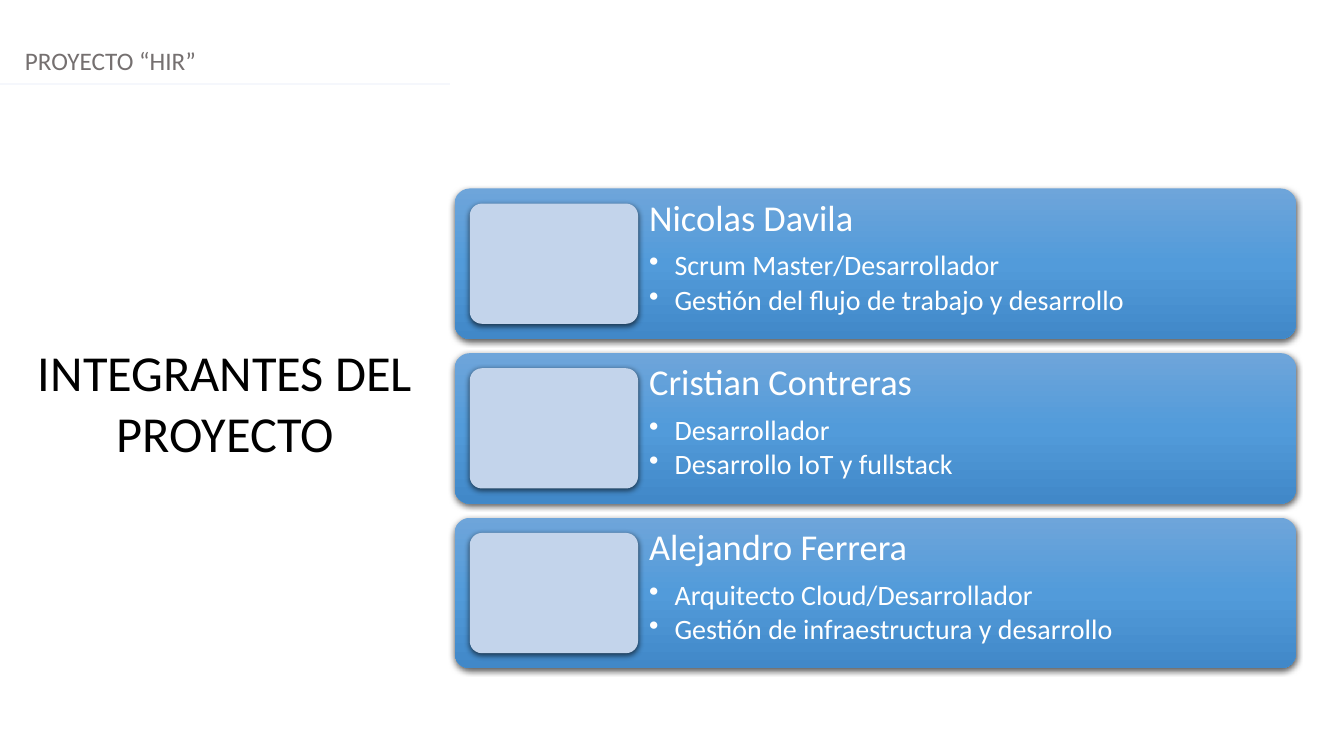
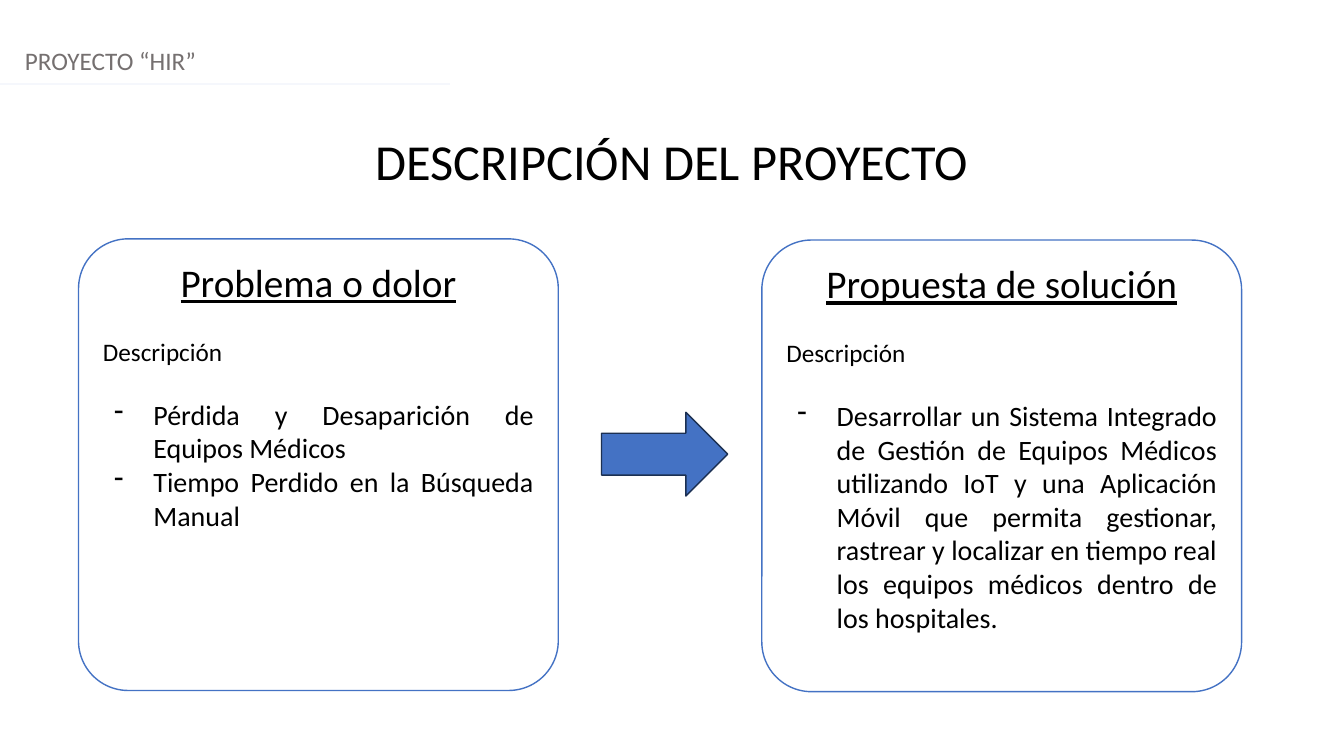
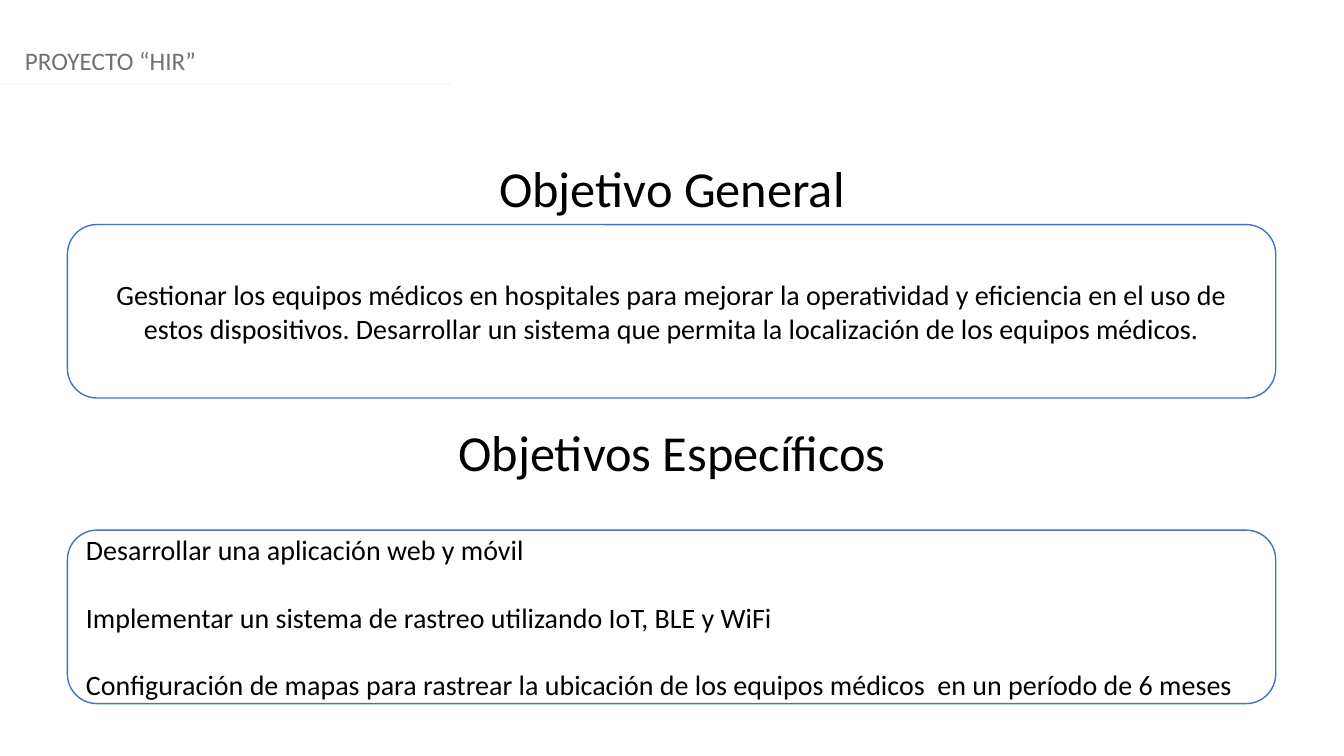
from dataclasses import dataclass

from lxml.etree import SubElement
from pptx import Presentation
from pptx.dml.color import RGBColor
from pptx.enum.shapes import MSO_CONNECTOR, MSO_SHAPE
from pptx.enum.text import MSO_ANCHOR, MSO_AUTO_SIZE, PP_ALIGN
from pptx.oxml.ns import qn
from pptx.shapes.autoshape import Shape
from pptx.slide import Slide
from pptx.text.text import TextFrame
from pptx.util import Cm, Pt

# Shared look
FONT = "Calibri"
WHITE = RGBColor(0xFF, 0xFF, 0xFF)
BLACK = RGBColor(0x00, 0x00, 0x00)
GREY = RGBColor(0x75, 0x70, 0x70)
PALE = RGBColor(0xF5, 0xF7, 0xFC)
BLUE = RGBColor(0x44, 0x72, 0xC4)
NAVY = RGBColor(0x1C, 0x30, 0x52)
PHOTO = RGBColor(0xC3, 0xD4, 0xEB)
SHADE = ((0, RGBColor(0x6E, 0xA5, 0xDA)),
         (50, RGBColor(0x52, 0x9B, 0xDA)),
         (100, RGBColor(0x41, 0x88, 0xC8)))
WIDE, HIGH = 33.87, 19.05
LEFT, CENTER, JUST = PP_ALIGN.LEFT, PP_ALIGN.CENTER, PP_ALIGN.JUSTIFY
ROUND = MSO_SHAPE.ROUNDED_RECTANGLE


@dataclass(frozen=True)
class Box:
    """A place on the slide, in centimetres."""
    left: float
    top: float
    width: float
    height: float

    def cm(self) -> tuple[Cm, Cm, Cm, Cm]:
        return Cm(self.left), Cm(self.top), Cm(self.width), Cm(self.height)


@dataclass(frozen=True)
class Para:
    text: str
    size: float = 20
    color: RGBColor = BLACK
    align: PP_ALIGN = LEFT
    under: bool = False
    before: float = 0
    lines: float = 1
    level: int = 0
    bullet: str = ""
    indent: float = 0
    hang: float = 0


@dataclass(frozen=True)
class Member:
    name: str
    tasks: tuple[str, ...]


@dataclass(frozen=True)
class Panel:
    box: Box
    title: str
    points: tuple[str, ...]


TEAM = (
    Member("Nicolas Davila", ("Scrum Master/Desarrollador",
                              "Gestión del flujo de trabajo y desarrollo")),
    Member("Cristian Contreras", ("Desarrollador",
                                  "Desarrollo IoT y fullstack")),
    Member("Alejandro Ferrera", ("Arquitecto Cloud/Desarrollador",
                                 "Gestión de infraestructura y desarrollo")),
)
PANELS = (
    Panel(Box(1.98, 6.02, 12.09, 11.38), "Problema o dolor",
          ("Pérdida y Desaparición de Equipos Médicos",
           "Tiempo Perdido en la Búsqueda Manual")),
    Panel(Box(19.2, 6.05, 12.09, 11.38), "Propuesta de solución",
          ("Desarrollar un Sistema Integrado de Gestión de Equipos Médicos "
           "utilizando IoT y una Aplicación Móvil que permita gestionar, "
           "rastrear y localizar en tiempo real los equipos médicos dentro "
           "de los hospitales.",)),
)
GOAL = ("Gestionar los equipos médicos en hospitales para mejorar la "
        "operatividad y eficiencia en el uso de estos dispositivos. "
        "Desarrollar un sistema que permita la localización de los "
        "equipos médicos.")
AIMS = ("Desarrollar una aplicación web y móvil",
        "Implementar un sistema de rastreo utilizando IoT, BLE y WiFi",
        "Configuración de mapas para rastrear la ubicación de los equipos "
        "médicos  en un período de 6 meses")


# Text
def write(frame: TextFrame, paras: list[Para],
          anchor: MSO_ANCHOR = MSO_ANCHOR.TOP) -> None:
    frame.word_wrap = True
    frame.vertical_anchor = anchor
    for i, item in enumerate(paras):
        para = frame.paragraphs[0] if i == 0 else frame.add_paragraph()
        para.alignment = item.align
        para.level = item.level
        para.line_spacing = item.lines
        para.space_before = Pt(item.before)
        run = para.add_run()
        run.text = item.text
        font = run.font
        font.name, font.size, font.underline = FONT, Pt(item.size), item.under
        font.color.rgb = item.color
        if item.bullet:
            props = para._p.get_or_add_pPr()
            props.set("marL", str(Cm(item.indent)))
            props.set("indent", str(-Cm(item.hang)))
            tint = SubElement(props, qn("a:buClr"))
            SubElement(tint, qn("a:srgbClr"), val=str(item.color))
            SubElement(props, qn("a:buChar"), char=item.bullet)


def label(slide: Slide, box: Box, para: Para) -> None:
    frame = slide.shapes.add_textbox(*box.cm()).text_frame
    write(frame, [para])
    frame.auto_size = MSO_AUTO_SIZE.SHAPE_TO_FIT_TEXT


def title(slide: Slide, text: str, box: Box) -> None:
    label(slide, box, Para(text, 36, align=CENTER))


def banner(slide: Slide, text: str, top: float) -> None:
    title(slide, text, Box(0, top, WIDE, 1.8))


# Shapes
def block(slide: Slide, kind: MSO_SHAPE, box: Box, fill: RGBColor,
          line: RGBColor | None = None, adj: float | None = None) -> Shape:
    shape = slide.shapes.add_shape(kind, *box.cm())
    shape.shadow.inherit = False
    shape.fill.solid()
    shape.fill.fore_color.rgb = fill
    if line is None:
        shape.line.fill.background()
    else:
        shape.line.color.rgb = line
        shape.line.width = Pt(1)
    if adj is not None:
        shape.adjustments[0] = adj
    return shape


def lift(shape: Shape) -> None:
    """Give the shape a soft shadow below it."""
    effect = shape.element.spPr.find(qn("a:effectLst"))
    shadow = SubElement(effect, qn("a:outerShdw"), blurRad=str(Pt(4.5)),
                        dist=str(Pt(1.5)), dir="5400000", algn="ctr",
                        rotWithShape="0")
    tint = SubElement(shadow, qn("a:srgbClr"), val=str(BLACK))
    SubElement(tint, qn("a:alpha"), val="63000")


def blend(shape: Shape) -> None:
    """Fill the shape from top to bottom with the blue shades."""
    shape.fill.gradient()
    shape.fill.gradient_angle = 270
    stops = shape.element.spPr.find(qn("a:gradFill")).find(qn("a:gsLst"))
    for stop in list(stops):
        stops.remove(stop)
    for place, color in SHADE:
        stop = SubElement(stops, qn("a:gs"), pos=str(place * 1000))
        SubElement(stop, qn("a:srgbClr"), val=str(color))


def start(deck: Presentation) -> Slide:
    """Add a slide with the shared header and its rule."""
    slide = deck.slides.add_slide(deck.slide_layouts[6])
    label(slide, Box(0.38, 1.02, WIDE - 0.38, 1.02),
          Para("PROYECTO “HIR”", 18, GREY))
    rule = slide.shapes.add_connector(
        MSO_CONNECTOR.STRAIGHT, Cm(0), Cm(2.11), Cm(11.35), Cm(2.11))
    rule.line.color.rgb = PALE
    rule.line.width = Pt(1.25)
    SubElement(rule.element.spPr, qn("a:effectLst"))
    return slide


# Slides
def team(deck: Presentation) -> None:
    slide = start(deck)
    title(slide, "INTEGRANTES DEL PROYECTO", Box(0.66, 8.48, 10.03, 3.33))
    left, high, step, pad, photo = 11.46, 3.79, 4.15, 0.38, 4.24
    for i, member in enumerate(TEAM):
        top = 4.75 + i * step
        card = block(slide, ROUND, Box(left, top, 21.2, high), BLUE, adj=0.1)
        blend(card)
        lift(card)
        text = Box(left + pad + photo, top, 21.2 - pad - photo, high)
        frame = slide.shapes.add_textbox(*text.cm()).text_frame
        frame.margin_left = frame.margin_right = Cm(0.28)
        frame.margin_top = frame.margin_bottom = Cm(0.28)
        tasks = [Para(task, 20, WHITE, before=3 if j else 9.1, lines=0.9,
                      level=1, bullet="•", indent=0.64, hang=0.64)
                 for j, task in enumerate(member.tasks)]
        write(frame, [Para(member.name, 26, WHITE, lines=0.9), *tasks])
        lift(block(slide, ROUND,
                   Box(left + pad, top + pad, photo, high - 2 * pad),
                   PHOTO, adj=0.1))


def summary(deck: Presentation) -> None:
    slide = start(deck)
    banner(slide, "DESCRIPCIÓN DEL PROYECTO", 3.15)
    for panel in PANELS:
        shape = block(slide, ROUND, panel.box, WHITE, BLUE, 0.11)
        points = [Para(point, align=JUST, before=0 if i else 22, bullet="-",
                       indent=1.27, hang=0.99)
                  for i, point in enumerate(panel.points)]
        write(shape.text_frame, [
            Para(panel.title, 28, align=CENTER, under=True),
            Para("Descripción", 18, align=JUST, before=22), *points])
    block(slide, MSO_SHAPE.RIGHT_ARROW, Box(15.16, 10.39, 3.18, 2.11),
          BLUE, NAVY)


def goals(deck: Presentation) -> None:
    slide = start(deck)
    banner(slide, "Objetivo General", 3.84)
    banner(slide, "Objetivos Específicos", 10.49)
    aims = [Para(aim, before=24.4 if i else 0) for i, aim in enumerate(AIMS)]
    for top, paras in ((5.66, [Para(GOAL, align=CENTER)]), (13.36, aims)):
        shape = block(slide, ROUND, Box(1.7, top, 30.45, 4.37),
                      WHITE, BLUE, 0.17)
        write(shape.text_frame, paras, MSO_ANCHOR.MIDDLE)


def main() -> None:
    deck = Presentation()
    deck.slide_width, deck.slide_height = Cm(WIDE), Cm(HIGH)
    team(deck)
    summary(deck)
    goals(deck)
    deck.save("out.pptx")


if __name__ == "__main__":
    main()
